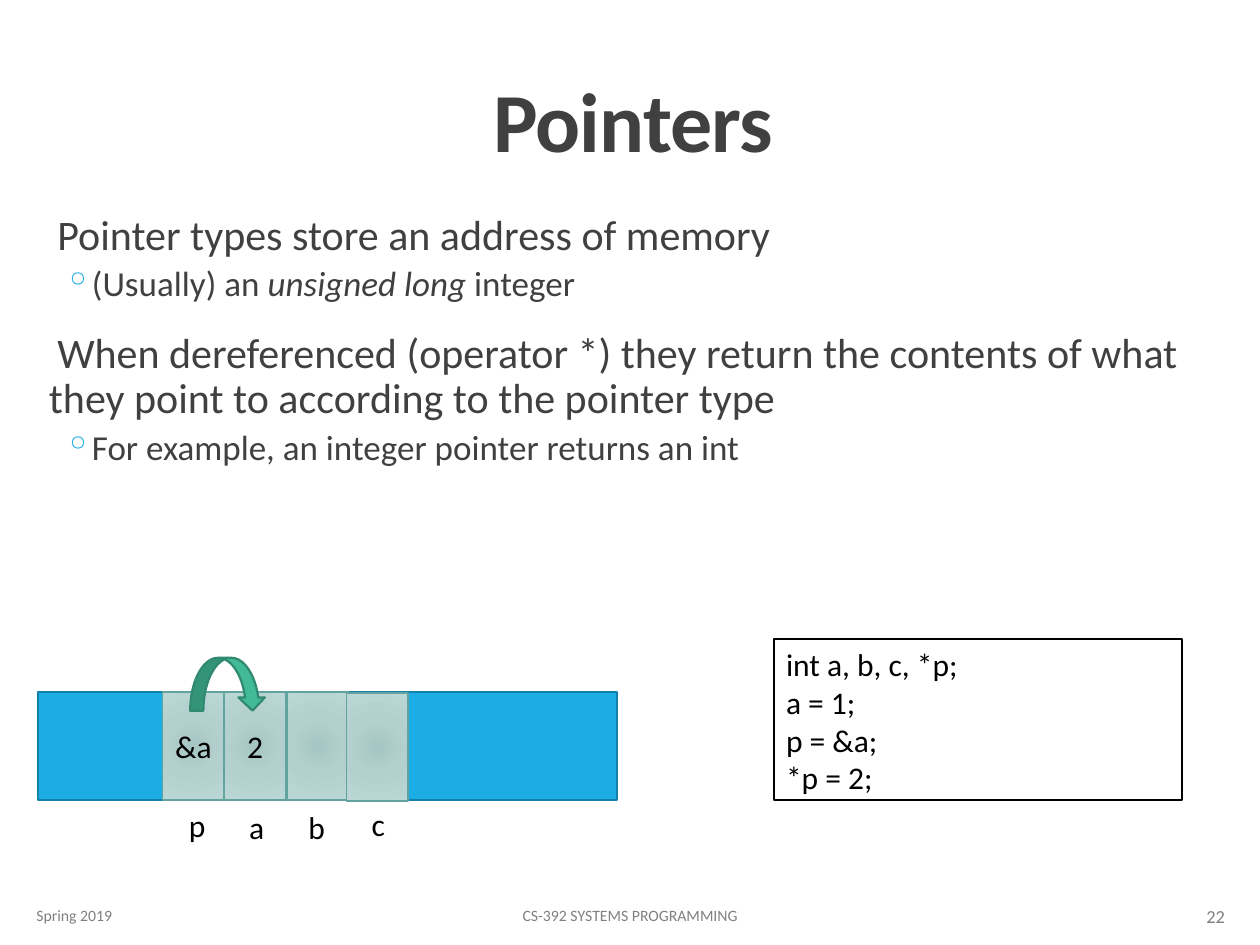
"""Builds a slide on pointers with a memory diagram and a code box."""
import pptx
import pptx.dml.color
import pptx.enum.shapes
import pptx.enum.text
import pptx.oxml
import pptx.oxml.ns
import pptx.util

SHAPE = pptx.enum.shapes.MSO_SHAPE
ALIGN = pptx.enum.text.PP_ALIGN
ANCHOR = pptx.enum.text.MSO_ANCHOR
FIT = pptx.enum.text.MSO_AUTO_SIZE
Pt = pptx.util.Pt
RGB = pptx.dml.color.RGBColor.from_string

THEME = {
    "font": "Calibri",
    "ink": "404040", "muted": "808080", "black": "000000", "white": "FFFFFF",
    "accent": "1CADE4", "bar_line": "1580A9", "cell_line": "62A39F",
    "arrow": "42BA97", "arrow_line": "318A70",
    "cell_stops": ((0, "A5C6C4"), (45, "B4D0CE"), (100, "BAD7D5")),
    "title": 48, "body": 24, "sub": 20, "code": 18, "footer": 9, "number": 10.5,
}

prs = pptx.Presentation()
prs.slide_width, prs.slide_height = pptx.util.Inches(10), pptx.util.Inches(7.5)
COL, ROW = prs.slide_width / 100, prs.slide_height / 100
s = prs.slides.add_slide(prs.slide_layouts[5])


def add_box(x, y, w, h, kind=None, fill=None, line=None, weight=1.25):
    """Adds a text box or preset shape, placed in percent of the slide."""
    place = [round(v) for v in (x * COL, y * ROW, w * COL, h * ROW)]
    if kind is None:
        sp = s.shapes.add_textbox(*place)
    else:
        sp = s.shapes.add_shape(kind, *place)
        sp.shadow.inherit = False
        sp.line.color.rgb = RGB(THEME[line])
        sp.line.width = Pt(weight)
        if fill:
            sp.fill.solid()
            sp.fill.fore_color.rgb = RGB(THEME[fill])
    sp.text_frame.word_wrap = True
    return sp


def add_run(p, text, size, color, bold=False, italic=False):
    """Adds one formatted run to a paragraph."""
    r = p.add_run()
    r.text = text
    r.font.name, r.font.size = THEME["font"], Pt(THEME[size])
    r.font.color.rgb = RGB(THEME[color])
    r.font.bold, r.font.italic = bold, italic
    return r


title = s.shapes.title
title.left, title.top = round(9 * COL), round(0.53 * ROW)
title.width, title.height = round(82.5 * COL), round(18.13 * ROW)
tf = title.text_frame
tf.auto_size, tf.vertical_anchor = FIT.NONE, ANCHOR.BOTTOM
p = tf.paragraphs[0]
p.alignment, p.line_spacing = ALIGN.CENTER, 0.85
r = add_run(p, "Pointers", "title", "ink", bold=True)
r.font._element.set("spc", "-50")

FOOTERS = (
    (1.9, 94.13, 20.3, "Spring 2019", "footer", ALIGN.LEFT),
    (30.2, 94.13, 39.6, "CS-392 SYSTEMS PROGRAMMING", "footer", ALIGN.CENTER),
    (87.4, 94.27, 10.8, "22", "number", ALIGN.RIGHT),
)
for x, y, w, text, size, align in FOOTERS:
    tf = add_box(x, y, w, 5.33).text_frame
    tf.vertical_anchor = ANCHOR.MIDDLE
    p = tf.paragraphs[0]
    p.alignment = align
    add_run(p, text, size, "muted")

add_box(3, 73.2, 46, 11.47, SHAPE.RECTANGLE, "accent", "bar_line")

NS = pptx.oxml.ns.nsdecls("a")
STOPS = "".join(
    f'<a:gs pos="{pos * 1000}"><a:srgbClr val="{color}"/></a:gs>'
    for pos, color in THEME["cell_stops"]
)
GRADIENT = (
    f'<a:gradFill {NS} rotWithShape="1"><a:gsLst>{STOPS}</a:gsLst><a:path path="circle">'
    '<a:fillToRect l="50000" t="50000" r="50000" b="50000"/></a:path></a:gradFill>'
)
CELLS = (
    (12.9, 73.2, "&a", "p", 14, 84.67, 3.4),
    (17.8, 73.2, "2", "a", 18.8, 84.8, 3.4),
    (22.8, 73.2, "", "b", 23.5, 84.8, 3.4),
    (27.5, 73.33, "", "c", 28.5, 84.53, 3.1),
)
for x, y, value, name, name_x, name_y, name_w in CELLS:
    sp = add_box(x, y, 4.9, 11.47, SHAPE.RECTANGLE, None, "cell_line", 1)
    sp._element.spPr.find(pptx.oxml.ns.qn("a:prstGeom")).addnext(pptx.oxml.parse_xml(GRADIENT))
    tf = sp.text_frame
    tf.vertical_anchor = ANCHOR.MIDDLE
    if value:
        p = tf.paragraphs[0]
        p.alignment = ALIGN.CENTER
        add_run(p, value, "code", "black")
    tf = add_box(name_x, name_y, name_w, 5.33).text_frame
    tf.word_wrap, tf.auto_size = False, FIT.SHAPE_TO_FIT_TEXT
    add_run(tf.paragraphs[0], name, "code", "black")

add_box(15.1, 69.6, 6, 5.6, SHAPE.CURVED_DOWN_ARROW, "arrow", "arrow_line")

LEVELS = (
    {"size": "body", "bullet": " ", "left": 0.1, "hang": -0.1, "before": 12, "after": 2},
    {"size": "sub", "bullet": "◦", "left": 0.42, "hang": -0.2, "before": 2, "after": 4},
)
BODY = (
    (0, ("Pointer types store an address of memory",)),
    (1, ("(Usually) an ", "unsigned long", " integer")),
    (0, ("When dereferenced (operator *) they return the contents of what "
         "they point to according to the pointer type",)),
    (1, ("For example, an integer pointer returns an int",)),
)
tf = add_box(1.9, 22, 96.2, 46.13).text_frame
for i, (level, parts) in enumerate(BODY):
    style = LEVELS[level]
    p = tf.add_paragraph() if i else tf.paragraphs[0]
    p.level, p.line_spacing = level, 0.9
    p.space_before = Pt(style["before"] if i else 0)
    p.space_after = Pt(style["after"])
    pPr = p._p.get_or_add_pPr()
    pPr.set("marL", str(pptx.util.Inches(style["left"])))
    pPr.set("indent", str(pptx.util.Inches(style["hang"])))
    pPr.append(pptx.oxml.parse_xml(
        f'<a:buClr {NS}><a:srgbClr val="{THEME["accent"]}"/></a:buClr>'))
    pPr.append(pptx.oxml.parse_xml(f'<a:buChar {NS} char="{style["bullet"]}"/>'))
    for j, text in enumerate(parts):
        add_run(p, text, style["size"], "ink", italic=j == 1)

tf = add_box(61.4, 67.6, 32.4, 17.07, SHAPE.RECTANGLE, "white", "black").text_frame
tf.vertical_anchor = ANCHOR.TOP
for i, text in enumerate(("int a, b, c, *p;", "a = 1;", "p = &a;", "*p = 2;")):
    p = tf.add_paragraph() if i else tf.paragraphs[0]
    p.alignment = ALIGN.LEFT
    add_run(p, text, "code", "black")

prs.save("out.pptx")
